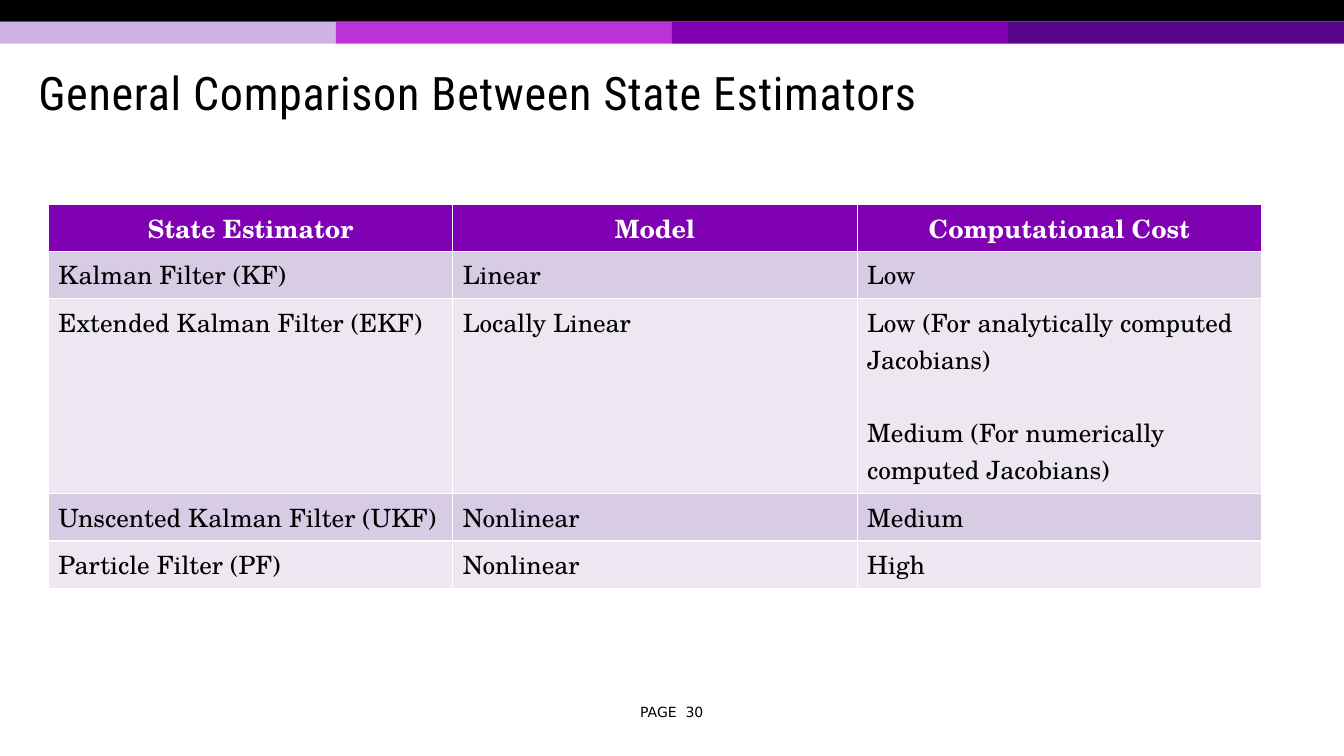
import pptx
import pptx.util
import pptx.dml.color
import pptx.enum.shapes
import pptx.enum.text
from pptx.util import Cm, Pt

TITLE = "General Comparison Between State Estimators"
PAGE_LABEL, PAGE_NUMBER = "PAGE", "30"
HEADER = ["State Estimator", "Model", "Computational Cost"]
ESTIMATORS = [
    ["Kalman Filter (KF)", "Linear", "Low"],
    [
        "Extended Kalman Filter (EKF)",
        "Locally Linear",
        "Low (For analytically computed Jacobians)\n"
        "Medium (For numerically computed Jacobians)",
    ],
    ["Unscented Kalman Filter (UKF)", "Nonlinear", "Medium"],
    ["Particle Filter (PF)", "Nonlinear", "High"],
]

COLOURS = {
    "black": "000000",
    "white": "FFFFFF",
    "header": "8000B3",
    "odd row": "D8CCE5",
    "even row": "EDE7F2",
}
BAND_COLOURS = ["CFB3E6", "BD33DA", "8000B3", "57058A"]
TITLE_FONT, TABLE_FONT, PAGE_FONT = "Roboto Condensed", "TeX Gyre Schola", "DejaVu Sans"
ALIGN = pptx.enum.text.PP_ALIGN
MIDDLE = pptx.enum.text.MSO_ANCHOR.MIDDLE

SLIDE_WIDTH, SLIDE_HEIGHT = Cm(33.87), Cm(19.05)
BAND_HEIGHT = Cm(0.55)
COLUMN_WIDTH = Cm(10.19)
ROW_HEIGHT, TALL_ROW_HEIGHT = Cm(1.19), Cm(4.92)
PARAGRAPH_GAP = Pt(26)


def colour(value):
    return pptx.dml.color.RGBColor.from_string(value)


def write(para, text, font, size, ink="black", bold=False, align=ALIGN.LEFT, spacing=0):
    para.alignment = align
    span = para.add_run()
    span.text = text
    span.font.name = font
    span.font.size = Pt(size)
    span.font.bold = bold
    span.font.color.rgb = colour(COLOURS[ink])
    if spacing:
        span.font._element.set("spc", str(round(spacing * 100)))


def add_bar(page, left, top, width, fill):
    bar = page.shapes.add_shape(
        pptx.enum.shapes.MSO_SHAPE.RECTANGLE, left, top, width, BAND_HEIGHT
    )
    bar.shadow.inherit = False
    bar.fill.solid()
    bar.fill.fore_color.rgb = colour(fill)
    bar.line.fill.background()


def add_bands(page):
    band_width = SLIDE_WIDTH // len(BAND_COLOURS)
    for index, fill in enumerate(BAND_COLOURS):
        add_bar(page, index * band_width, BAND_HEIGHT, band_width, fill)
    add_bar(page, 0, 0, SLIDE_WIDTH, COLOURS["black"])


def add_title(page):
    title = page.shapes.title
    title.left, title.top = Cm(0.71), Cm(1.19)
    title.width, title.height = Cm(32.13), Cm(2.49)
    frame = title.text_frame
    frame.auto_size = pptx.enum.text.MSO_AUTO_SIZE.NONE
    frame.vertical_anchor = MIDDLE
    para = frame.paragraphs[0]
    para.line_spacing = 0.85
    write(para, TITLE, TITLE_FONT, 33, spacing=0.5)


def add_page_number(page):
    box = page.shapes.add_textbox(Cm(15.52), Cm(17.6), Cm(2.82), Cm(0.69))
    frame = box.text_frame
    frame.word_wrap = True
    frame.vertical_anchor = MIDDLE
    para = frame.paragraphs[0]
    para.space_after = Pt(6)
    for text, spacing in [(PAGE_LABEL, 0), (" ", 3.2), (PAGE_NUMBER, 0)]:
        write(para, text, PAGE_FONT, 10, align=ALIGN.CENTER, spacing=spacing)


def fill_cell(cell, text, fill, **text_format):
    cell.fill.solid()
    cell.fill.fore_color.rgb = colour(COLOURS[fill])
    for index, line in enumerate(text.split("\n")):
        if index:
            para = cell.text_frame.add_paragraph()
            para.space_before = PARAGRAPH_GAP
        else:
            para = cell.text_frame.paragraphs[0]
        write(para, line, TABLE_FONT, 18, **text_format)


def add_comparison(page):
    rows = [HEADER] + ESTIMATORS
    heights = [
        TALL_ROW_HEIGHT if any("\n" in text for text in row) else ROW_HEIGHT
        for row in rows
    ]
    table = page.shapes.add_table(
        len(rows), len(HEADER), Cm(1.22), Cm(5.14),
        COLUMN_WIDTH * len(HEADER), sum(heights),
    ).table
    for column in table.columns:
        column.width = COLUMN_WIDTH
    for row_index, row in enumerate(rows):
        table.rows[row_index].height = heights[row_index]
        if row_index == 0:
            fill = "header"
            text_format = {"ink": "white", "bold": True, "align": ALIGN.CENTER}
        else:
            fill = "odd row" if row_index % 2 else "even row"
            text_format = {}
        for column_index, text in enumerate(row):
            fill_cell(table.cell(row_index, column_index), text, fill, **text_format)


def main():
    deck = pptx.Presentation()
    deck.slide_width, deck.slide_height = SLIDE_WIDTH, SLIDE_HEIGHT
    page = deck.slides.add_slide(deck.slide_layouts[5])
    add_bands(page)
    add_title(page)
    add_page_number(page)
    add_comparison(page)
    deck.save("out.pptx")


if __name__ == "__main__":
    main()
